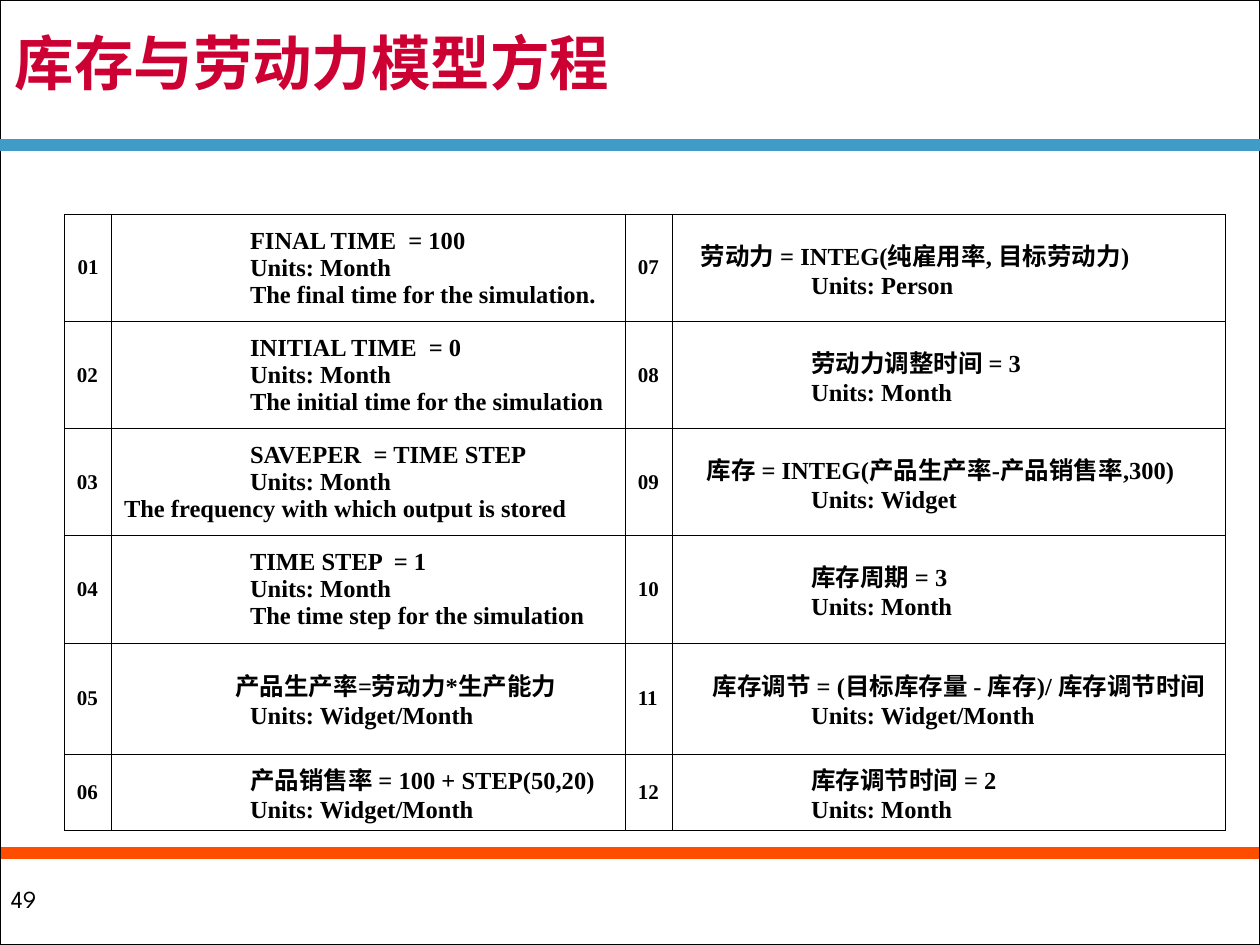
from dataclasses import dataclass

from lxml.etree import SubElement
from pptx import Presentation
from pptx.dml.color import RGBColor as Rgb
from pptx.enum.shapes import MSO_CONNECTOR as Connector, MSO_SHAPE as Shape
from pptx.enum.text import MSO_ANCHOR as Anchor, MSO_AUTO_SIZE as AutoSize, PP_ALIGN as Align
from pptx.oxml.ns import qn
from pptx.util import Cm, Pt

# Content: each equation is a list of (indent in cm, line)
TITLE = "库存与劳动力模型方程"
PAGE_NUMBER = "49"
TAB = 2.54
LEFT_EQUATIONS = [
    [(TAB, "FINAL TIME  = 100"), (TAB, "Units: Month"), (TAB, "The final time for the simulation.")],
    [(TAB, "INITIAL TIME  = 0"), (TAB, "Units: Month"), (TAB, "The initial time for the simulation")],
    [(TAB, "SAVEPER  = TIME STEP"), (TAB, "Units: Month"), (0, "The frequency with which output is stored")],
    [(TAB, "TIME STEP  = 1"), (TAB, "Units: Month"), (TAB, "The time step for the simulation")],
    [(2.24, "产品生产率=劳动力*生产能力"), (TAB, "Units: Widget/Month")],
    [(TAB, "产品销售率 = 100 + STEP(50,20)"), (TAB, "Units: Widget/Month")],
]
RIGHT_EQUATIONS = [
    [(0.32, "劳动力 = INTEG(纯雇用率, 目标劳动力)"), (TAB, "Units: Person")],
    [(TAB, "劳动力调整时间 = 3"), (TAB, "Units: Month")],
    [(0.44, "库存 = INTEG(产品生产率-产品销售率,300)"), (TAB, "Units: Widget")],
    [(TAB, "库存周期 = 3"), (TAB, "Units: Month")],
    [(0.56, "库存调节 = (目标库存量 - 库存)/ 库存调节时间"), (TAB, "Units: Widget/Month")],
    [(TAB, "库存调节时间 = 2"), (TAB, "Units: Month")],
]
COLUMN_WIDTHS = [0.95, 10.36, 0.95, 11.15]
ROW_HEIGHTS = [2.16] * 5 + [1.54]


@dataclass(frozen=True)
class Theme:
    title: str = "CC0033"
    ink: str = "000000"
    paper: str = "FFFFFF"
    top_rule: str = "3E9CC7"
    bottom_rule: str = "FF4D00"
    title_font: str = "Arial"
    table_font: str = "Times New Roman"
    number_font: str = "League Spartan"
    title_size: int = 34
    body_size: int = 14
    index_size: int = 12
    rule_width: float = 7
    grid_width: float = 0.45


THEME = Theme()


def style_para(para, font, size, color, bold=False):
    for span in para.runs:
        span.font.name = font
        span.font.size = Pt(size)
        span.font.bold = bold
        span.font.color.rgb = Rgb.from_string(color)


def add_rule(page, y, width, color):
    rule = page.shapes.add_connector(Connector.STRAIGHT, 0, Cm(y), width, Cm(y))
    rule.line.color.rgb = Rgb.from_string(color)
    rule.line.width = Pt(THEME.rule_width)
    SubElement(rule._element.spPr, qn("a:effectLst"))


def add_borders(cell):
    properties = cell._tc.get_or_add_tcPr()
    for side in ("lnL", "lnR", "lnT", "lnB"):
        edge = SubElement(properties, qn(f"a:{side}"), w=str(Pt(THEME.grid_width)))
        fill = SubElement(edge, qn("a:solidFill"))
        SubElement(fill, qn("a:srgbClr"), val=THEME.ink)


def fill_cell(cell, lines, size, align=Align.LEFT):
    add_borders(cell)
    cell.fill.background()
    cell.vertical_anchor = Anchor.MIDDLE
    cell.margin_left = cell.margin_right = Cm(0.25)
    cell.margin_top = cell.margin_bottom = Cm(0.13)
    cell.text_frame.text = "\n".join(line for _, line in lines)
    for para, (indent, _) in zip(cell.text_frame.paragraphs, lines):
        para.alignment = align
        properties = para._p.get_or_add_pPr()
        properties.set("marL", "0")
        properties.set("indent", str(Cm(indent)))
        style_para(para, THEME.table_font, size, THEME.ink, bold=True)


def add_title(page):
    title = page.shapes.title
    title.left, title.top, title.width, title.height = Cm(0.3), Cm(0.2), Cm(24.89), Cm(2.31)
    frame = title.text_frame
    frame.text = TITLE
    frame.auto_size = AutoSize.NONE
    frame.vertical_anchor = Anchor.MIDDLE
    frame.margin_left = frame.margin_right = frame.margin_top = frame.margin_bottom = 0
    para = frame.paragraphs[0]
    para.alignment = Align.LEFT
    para.line_spacing = 0.85
    style_para(para, THEME.title_font, THEME.title_size, THEME.title, bold=True)


def add_footer(page, width):
    box = page.shapes.add_shape(Shape.RECTANGLE, 0, Cm(17.17), width, Cm(1.88))
    box.shadow.inherit = False
    box.fill.solid()
    box.fill.fore_color.rgb = Rgb.from_string(THEME.paper)
    box.line.fill.background()
    frame = box.text_frame
    frame.text = PAGE_NUMBER
    frame.margin_left = Cm(0.22)
    frame.vertical_anchor = Anchor.MIDDLE
    frame.paragraphs[0].alignment = Align.LEFT
    style_para(frame.paragraphs[0], THEME.number_font, THEME.body_size, THEME.ink)


def add_frame(page, width, height):
    border = page.shapes.add_shape(Shape.RECTANGLE, 0, 0, width, height)
    border.shadow.inherit = False
    border.fill.background()
    border.line.color.rgb = Rgb.from_string(THEME.ink)
    border.line.width = Pt(1)


def add_equations(page):
    row_count = len(ROW_HEIGHTS)
    table = page.shapes.add_table(
        row_count, len(COLUMN_WIDTHS), Cm(1.3), Cm(4.32),
        Cm(sum(COLUMN_WIDTHS)), Cm(sum(ROW_HEIGHTS)),
    ).table
    table.first_row = table.horz_banding = False
    for column, width in zip(table.columns, COLUMN_WIDTHS):
        column.width = Cm(width)
    for row, height in zip(table.rows, ROW_HEIGHTS):
        row.height = Cm(height)

    # Equations run down the left half, then down the right half
    for number, lines in enumerate(LEFT_EQUATIONS + RIGHT_EQUATIONS):
        half, row = divmod(number, row_count)
        fill_cell(table.cell(row, 2 * half), [(0, f"{number + 1:02}")], THEME.index_size,
                  Align.LEFT if half or row else Align.CENTER)
        fill_cell(table.cell(row, 2 * half + 1), lines, THEME.body_size)


def main():
    deck = Presentation()
    deck.slide_width, deck.slide_height = Cm(25.4), Cm(19.05)
    page = deck.slides.add_slide(deck.slide_layouts[5])

    # Page furniture
    add_footer(page, deck.slide_width)
    add_rule(page, 17.2, deck.slide_width, THEME.bottom_rule)
    add_frame(page, deck.slide_width, deck.slide_height)
    add_rule(page, 2.92, deck.slide_width, THEME.top_rule)

    # Title and table of equations
    add_title(page)
    add_equations(page)
    deck.save("out.pptx")


if __name__ == "__main__":
    main()
